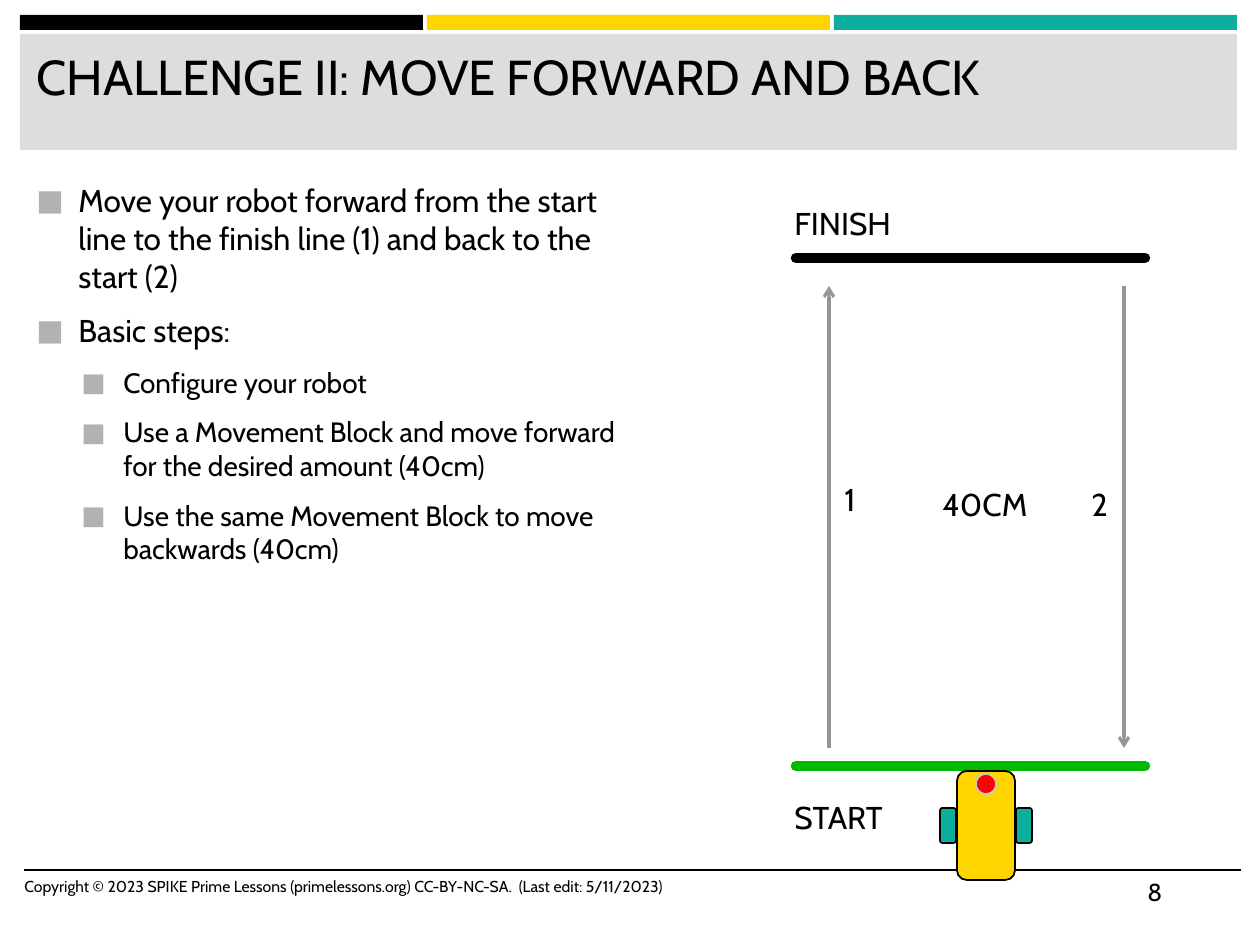
from dataclasses import dataclass

from lxml.etree import SubElement
from pptx import Presentation
from pptx.dml.color import RGBColor
from pptx.enum.shapes import MSO_CONNECTOR, MSO_SHAPE
from pptx.enum.text import MSO_ANCHOR
from pptx.oxml.ns import qn
from pptx.util import Pt


@dataclass(frozen=True)
class Theme:
    font: str = "Cabin"
    ink: str = "000000"
    yellow: str = "FFD500"
    teal: str = "0EAE9F"
    band: str = "DDDDDD"
    bullet: str = "B2B2B2"
    arrow: str = "969696"
    start: str = "00B900"
    sensor: str = "FF0000"
    sensor_edge: str = "C7C7C7"
    title_size: int = 28
    body_sizes: tuple = (18, 16)
    label_size: int = 18
    footer_size: int = 9
    number_size: int = 14


THEME = Theme()
SCALE = 914400 / 126

TITLE = "CHALLENGE II: MOVE FORWARD AND BACK"
STEPS = [
    (0, "Move your robot forward from the start line to the finish line (1) and back to the start (2)"),
    (0, "Basic steps:"),
    (1, "Configure your robot"),
    (1, "Use a Movement Block and move forward for the desired amount (40cm)"),
    (1, "Use the same Movement Block to move backwards (40cm)"),
]
FOOTER = "Copyright © 2023 SPIKE Prime Lessons (primelessons.org) CC-BY-NC-SA.  (Last edit: 5/11/2023)"
PAGE_NUMBER = "8"
LABELS = [
    ("1", 832, 474, 43),
    ("2", 1079, 479, 43),
    ("FINISH", 782, 198, 130),
    ("START", 782, 792, 126),
    ("40CM", 930, 479, 113),
]
FINISH_Y, START_Y = 258, 766
COURSE_LEFT, COURSE_RIGHT = 796, 1145
ARROW_TOP, ARROW_BOTTOM = 286, 748
ROBOT_CENTER, ROBOT_TOP = 986, 771


def px(value):
    return round(value * SCALE)


def color(value):
    return RGBColor.from_string(value)


def add_block(page, kind, left, top, width, height, fill, edge=None):
    block = page.shapes.add_shape(kind, px(left), px(top), px(width), px(height))
    block.shadow.inherit = False
    block.fill.solid()
    block.fill.fore_color.rgb = color(fill)
    if edge:
        block.line.color.rgb = color(edge)
        block.line.width = Pt(1)
    else:
        block.line.fill.background()


def add_line(page, start, end, stroke, points, arrow=False, cap="flat"):
    line = page.shapes.add_connector(
        MSO_CONNECTOR.STRAIGHT, *(px(value) for value in start + end))
    line.line.color.rgb = color(stroke)
    line.line.width = Pt(points)
    outline = line.line._get_or_add_ln()
    outline.set("cap", cap)
    if arrow:
        SubElement(outline, qn("a:tailEnd"), type="arrow")
    SubElement(line._element.spPr, qn("a:effectLst"))


def add_span(para, text, size):
    span = para.add_run()
    span.text = text
    span.font.name = THEME.font
    span.font.size = Pt(size)
    span.font.color.rgb = color(THEME.ink)


def add_frame(page, left, top, width, height):
    frame = page.shapes.add_textbox(px(left), px(top), px(width), px(height)).text_frame
    frame.word_wrap = True
    frame.vertical_anchor = MSO_ANCHOR.TOP
    return frame


def add_text(page, text, size, left, top, width, height=50):
    add_span(add_frame(page, left, top, width, height).paragraphs[0], text, size)


def add_bullet(para, level):
    props = para._p.get_or_add_pPr()
    props.set("marL", str(px((42, 87)[level])))
    props.set("indent", str(px(-42)))
    tint = SubElement(props, qn("a:buClr"))
    SubElement(tint, qn("a:srgbClr"), val=THEME.bullet)
    SubElement(props, qn("a:buSzPct"), val="92000")
    SubElement(props, qn("a:buFont"), typeface=THEME.font)
    SubElement(props, qn("a:buChar"), char="■")


def add_steps(page):
    frame = add_frame(page, 24, 175, 627, 602)
    for index, (level, text) in enumerate(STEPS):
        para = frame.add_paragraph() if index else frame.paragraphs[0]
        size = THEME.body_sizes[level]
        para.level = level
        add_bullet(para, level)
        para.space_after = Pt(6)
        if index:
            para.space_before = Pt(size * 0.2)
        add_span(para, text, size)


def add_template(page):
    for index, fill in enumerate((THEME.ink, THEME.yellow, THEME.teal)):
        add_block(page, MSO_SHAPE.RECTANGLE, 20 + 407 * index, 15, 403, 15, fill)
    add_block(page, MSO_SHAPE.RECTANGLE, 20, 34, 1217, 116, THEME.band)
    add_line(page, (24, 870), (1241, 870), THEME.ink, 1)
    add_text(page, TITLE, THEME.title_size, 24, 40, 1206, 104)
    add_text(page, FOOTER, THEME.footer_size, 12, 871, 672)
    add_text(page, PAGE_NUMBER, THEME.number_size, 1135, 871, 106)


def add_course(page):
    for y, stroke in ((FINISH_Y, THEME.ink), (START_Y, THEME.start)):
        add_line(page, (COURSE_RIGHT, y), (COURSE_LEFT, y), stroke, 6, cap="rnd")
    for x, start, end in ((829, ARROW_BOTTOM, ARROW_TOP), (1124, ARROW_TOP, ARROW_BOTTOM)):
        add_line(page, (x, start), (x, end), THEME.arrow, 1.75, arrow=True)
    for text, left, top, width in LABELS:
        add_text(page, text, THEME.label_size, left, top, width)


def add_robot(page):
    rounded = MSO_SHAPE.ROUNDED_RECTANGLE
    add_block(page, rounded, ROBOT_CENTER - 29, ROBOT_TOP, 58, 109, THEME.yellow, THEME.ink)
    for side in (-1, 1):
        add_block(page, rounded, ROBOT_CENTER + 38 * side - 8, ROBOT_TOP + 37, 16, 35,
                  THEME.teal, THEME.ink)
    add_block(page, MSO_SHAPE.OVAL, ROBOT_CENTER - 10, ROBOT_TOP + 3, 20, 20,
              THEME.sensor, THEME.sensor_edge)


def main():
    deck = Presentation()
    deck.slide_width, deck.slide_height = px(1260), px(945)
    page = deck.slides.add_slide(deck.slide_layouts[6])
    add_template(page)
    add_steps(page)
    add_course(page)
    add_robot(page)
    deck.save("out.pptx")


if __name__ == "__main__":
    main()
